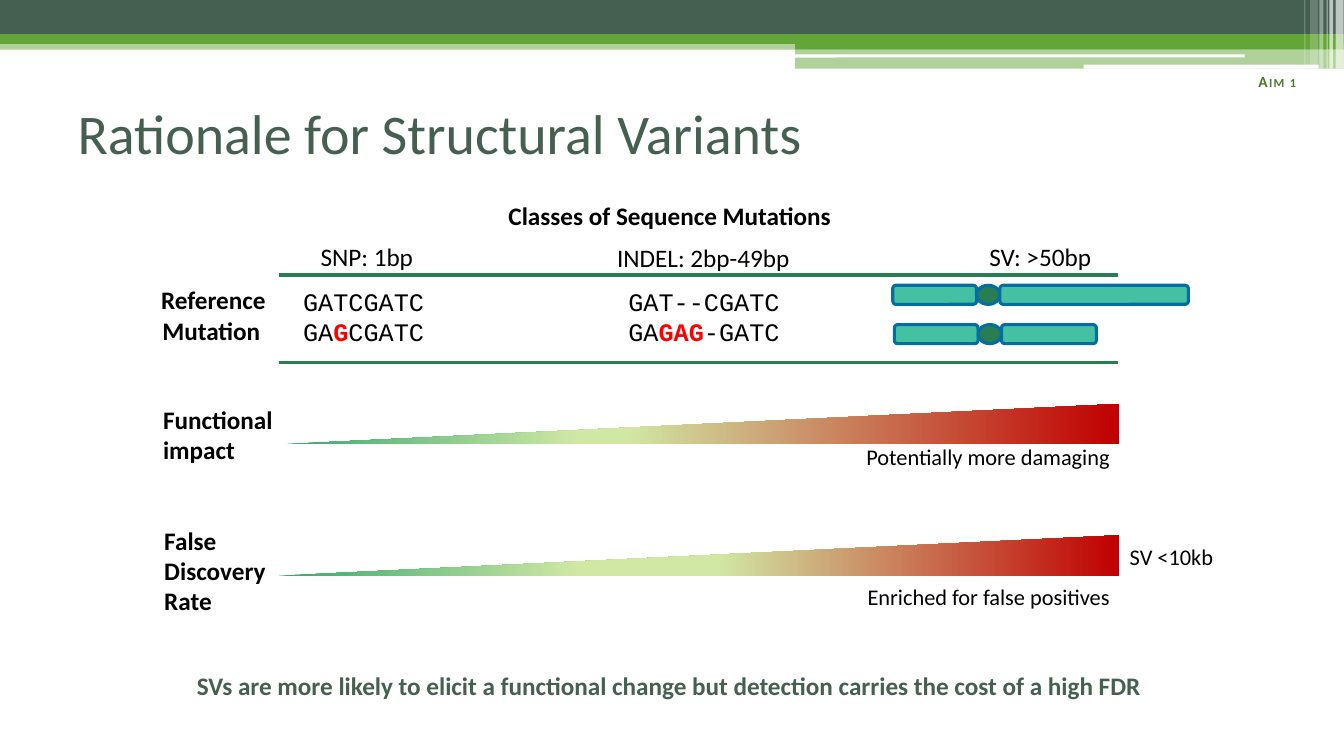
import pptx
import pptx.util
import pptx.dml.color
import pptx.enum.shapes
import pptx.enum.text
import pptx.oxml.ns
import lxml.etree

Cm, Pt = pptx.util.Cm, pptx.util.Pt
RGBColor = pptx.dml.color.RGBColor
SHAPE = pptx.enum.shapes.MSO_SHAPE
ALIGN = pptx.enum.text.PP_ALIGN
ANCHOR = pptx.enum.text.MSO_ANCHOR
qn = pptx.oxml.ns.qn

BLACK = RGBColor(0x00, 0x00, 0x00)
WHITE = RGBColor(0xFF, 0xFF, 0xFF)
RED = RGBColor(0xFF, 0x00, 0x00)
SLATE = RGBColor(0x45, 0x5F, 0x51)
LEAF = RGBColor(0x63, 0xA5, 0x37)
MOSS = RGBColor(0x4A, 0x7C, 0x29)
PINE = RGBColor(0x29, 0x7D, 0x53)
TEAL = RGBColor(0x44, 0xC1, 0xA3)
BLUE = RGBColor(0x05, 0x6E, 0xA0)
GREEN = RGBColor(0x37, 0xA7, 0x6F)
LIME = RGBColor(0xD1, 0xE8, 0xA5)
DARK_RED = RGBColor(0xC0, 0x00, 0x00)

TABLE_LEFT, TABLE_RIGHT = 7.02, 28.18


def add_shape(s, kind, box, color, opacity=100, line=None):
    sp = s.shapes.add_shape(kind, *(Cm(v) for v in box))
    sp.shadow.inherit = False
    sp.fill.solid()
    sp.fill.fore_color.rgb = color
    if opacity < 100:
        clr = sp.fill._xPr.find(qn("a:solidFill"))[0]
        lxml.etree.SubElement(clr, qn("a:alpha"), val=str(opacity * 1000))
    if line is None:
        sp.line.fill.background()
    else:
        sp.line.color.rgb = line
        sp.line.width = Pt(2.25)
    return sp


def format_run(r, size, color=BLACK, bold=False, font="Calibri"):
    r.font.name = font
    r.font.size = Pt(size)
    r.font.bold = bold
    r.font.color.rgb = color


def add_text(s, box, text, size=18, align=ALIGN.LEFT, color=BLACK, bold=False):
    tf = s.shapes.add_textbox(*(Cm(v) for v in box)).text_frame
    tf.word_wrap = True
    p = tf.paragraphs[0]
    p.text = text
    p.alignment = align
    format_run(p.runs[0], size, color, bold)
    return p


def add_sequences(s, box, reference, mutation, align):
    """Reference sequence above a (before, changed, after) mutation."""
    tf = s.shapes.add_textbox(*(Cm(v) for v in box)).text_frame
    tf.word_wrap = True
    for i, parts in enumerate(((reference,), mutation)):
        p = tf.paragraphs[0] if i == 0 else tf.add_paragraph()
        p.alignment = align
        for j, part in enumerate(parts):
            r = p.add_run()
            r.text = part
            changed = j == 1
            format_run(r, 18, RED if changed else BLACK, changed, "Courier New")


def add_chromosome(s, left, top, long_arm):
    short_arm, centromere, height = 2.11, 0.59, 0.48
    x = left
    for kind, width, color in ((SHAPE.ROUNDED_RECTANGLE, short_arm, TEAL),
                               (SHAPE.OVAL, centromere, PINE),
                               (SHAPE.ROUNDED_RECTANGLE, long_arm, TEAL)):
        add_shape(s, kind, (x, top, width, height), color, line=BLUE)
        x += width


def add_rule(s, y):
    c = s.shapes.add_connector(pptx.enum.shapes.MSO_CONNECTOR.STRAIGHT,
                               Cm(TABLE_LEFT), Cm(y), Cm(TABLE_RIGHT), Cm(y))
    c.line.color.rgb = PINE
    c.line.width = Pt(2.25)
    lxml.etree.SubElement(c._element.spPr, qn("a:effectLst"))


def add_wedge(s, bottom, lime_end):
    left, right = Cm(TABLE_LEFT), Cm(TABLE_RIGHT + 0.02)
    fb = s.shapes.build_freeform(left, Cm(bottom))
    fb.add_line_segments([(right, Cm(bottom)), (right, Cm(bottom - 1.02))])
    sp = fb.convert_to_shape()
    sp.shadow.inherit = False
    sp.line.fill.background()
    sp.fill.gradient()
    sp.fill.gradient_angle = 0
    stops = sp._element.spPr.find(qn("a:gradFill")).find(qn("a:gsLst"))
    for gs in list(stops):
        stops.remove(gs)
    for pos, color in ((0, GREEN), (36, LIME), (lime_end, LIME), (100, DARK_RED)):
        gs = lxml.etree.SubElement(stops, qn("a:gs"), pos=str(pos * 1000))
        lxml.etree.SubElement(gs, qn("a:srgbClr"), val=str(color))


def add_banner(s):
    for box, color, opacity in (
            ((0, 1.02, 33.87, 0.23), LEAF, 50),
            ((0, 0, 33.87, 0.86), SLATE, 100),
            ((0, 0.86, 33.87, 0.25), LEAF, 100),
            ((20.04, 0.99, 13.82, 0.25), LEAF, 100),
            ((20.04, 1.22, 13.82, 0.51), LEAF, 50)):
        add_shape(s, SHAPE.RECTANGLE, box, color, opacity)
    for box in ((20.02, 1.37, 11.35, 0.08), (27.31, 1.63, 5.92, 0.1)):
        add_shape(s, SHAPE.ROUNDED_RECTANGLE, box, WHITE)
    # Pale vertical stripes at the right edge
    for x, width, height, opacity in (
            (33.66, 0.2, 1.73, 65), (33.5, 0.1, 1.73, 65), (33.43, 0.03, 1.73, 60),
            (33.25, 0.1, 1.73, 40), (33.02, 0.2, 1.63, 20), (32.87, 0.03, 1.63, 30)):
        add_shape(s, SHAPE.RECTANGLE, (x, 0, width, height), WHITE, opacity)


def add_title(s, text):
    sp = s.shapes.title
    sp.left, sp.top, sp.width, sp.height = Cm(1.7), Cm(1.85), Cm(30.48), Cm(2.97)
    tf = sp.text_frame
    tf.text = text
    tf.vertical_anchor = ANCHOR.MIDDLE
    tf.paragraphs[0].alignment = ALIGN.LEFT
    format_run(tf.paragraphs[0].runs[0], 40, SLATE)


def main():
    prs = pptx.Presentation()
    prs.slide_width, prs.slide_height = Cm(33.87), Cm(19.05)
    s = prs.slides.add_slide(prs.slide_layouts[5])

    add_banner(s)
    add_title(s, "Rationale for Structural Variants")
    p = add_text(s, (28.19, 1.7, 4.9, 1.27), "Aim 1", 11, ALIGN.RIGHT, MOSS, True)
    rPr = p.runs[0].font._element
    rPr.set("cap", "small")
    rPr.set("spc", "100")

    # Table of mutation classes
    add_text(s, (5.26, 4.93, 23.24, 1.02), "Classes of Sequence Mutations",
             align=ALIGN.CENTER, bold=True)
    for box, text in (((7.01, 5.95, 4.47, 1.02), "SNP: 1bp"),
                      ((15.06, 5.97, 5.33, 1.02), "INDEL: 2bp-49bp"),
                      ((23.98, 5.95, 4.47, 1.02), "SV: >50bp")):
        add_text(s, box, text, align=ALIGN.CENTER)
    for y in (6.93, 9.14):
        add_rule(s, y)
    add_sequences(s, (7.39, 7.09, 3.68, 1.8), "GATCGATC",
                  ("GA", "G", "CGATC"), ALIGN.LEFT)
    add_sequences(s, (15.16, 7.09, 5.16, 1.8), "GAT--CGATC",
                  ("GA", "GAG", "-GATC"), ALIGN.CENTER)
    add_chromosome(s, 22.5, 7.19, 4.75)
    add_chromosome(s, 22.54, 8.18, 2.39)

    # Row labels
    for box, text in (((3.81, 7.04, 5.05, 1.02), "Reference"),
                      ((3.84, 7.82, 5.05, 1.02), "Mutation"),
                      ((3.86, 10.06, 4.19, 1.8), "Functional impact"),
                      ((3.89, 13.11, 4.19, 2.57), "False Discovery Rate")):
        add_text(s, box, text, bold=True)

    # Rising wedges and their captions
    add_wedge(s, 11.2, 41)
    add_wedge(s, 14.51, 52)
    add_text(s, (21.36, 11.05, 6.86, 0.94), "Potentially more damaging", 16, ALIGN.RIGHT)
    add_text(s, (21.36, 14.58, 6.86, 0.94), "Enriched for false positives", 16, ALIGN.RIGHT)
    add_text(s, (28.22, 13.56, 3.71, 0.94), "SV <10kb", 16)

    # Conclusion
    p = add_text(s, (3.81, 16.76, 25.81, 1.32),
                 "SVs are more likely to elicit a functional change but detection "
                 "carries the cost of a high FDR", 18, ALIGN.CENTER, SLATE, True)
    p._p.get_or_add_pPr().set("marL", str(Cm(0.3)))

    prs.save("out.pptx")


if __name__ == "__main__":
    main()
